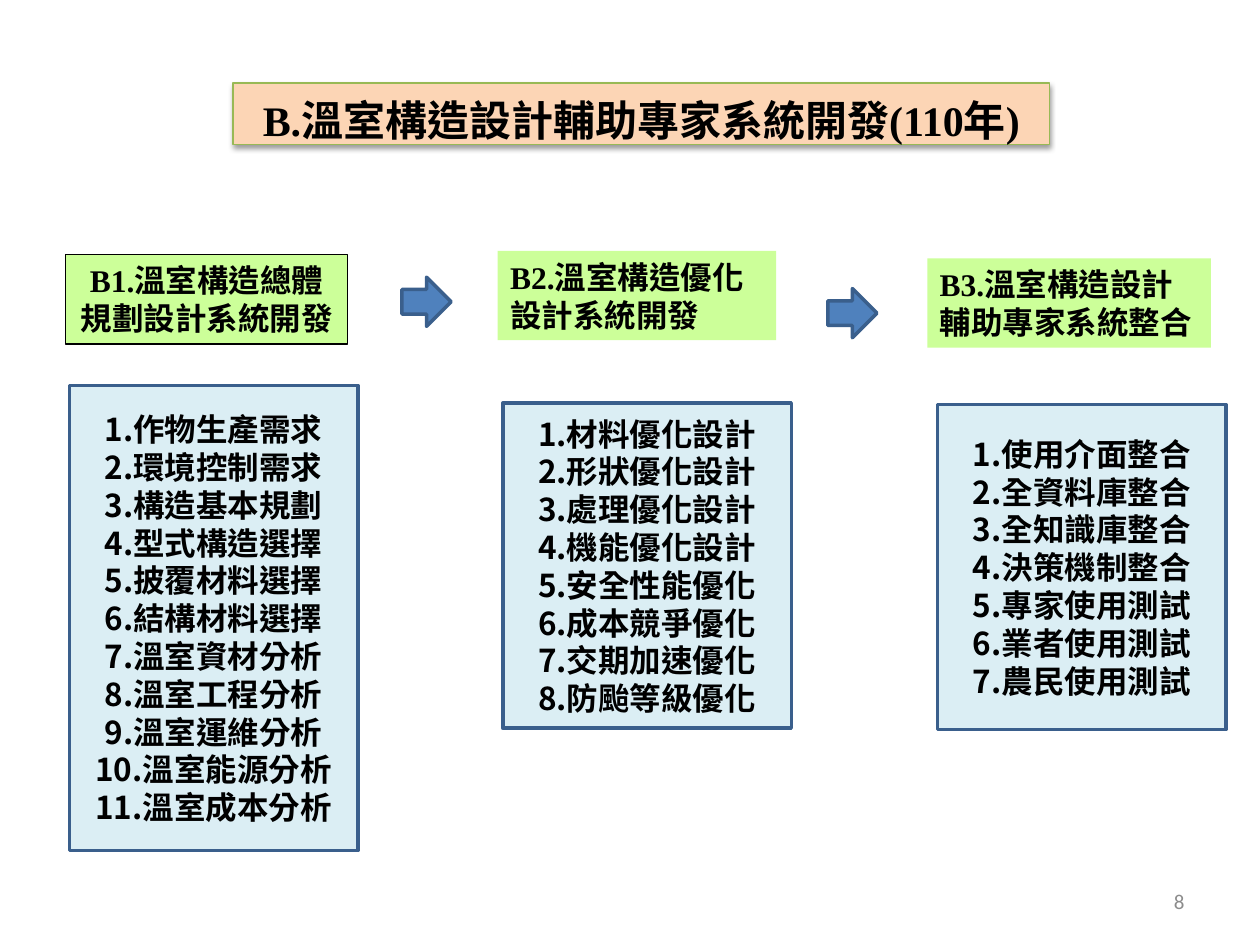
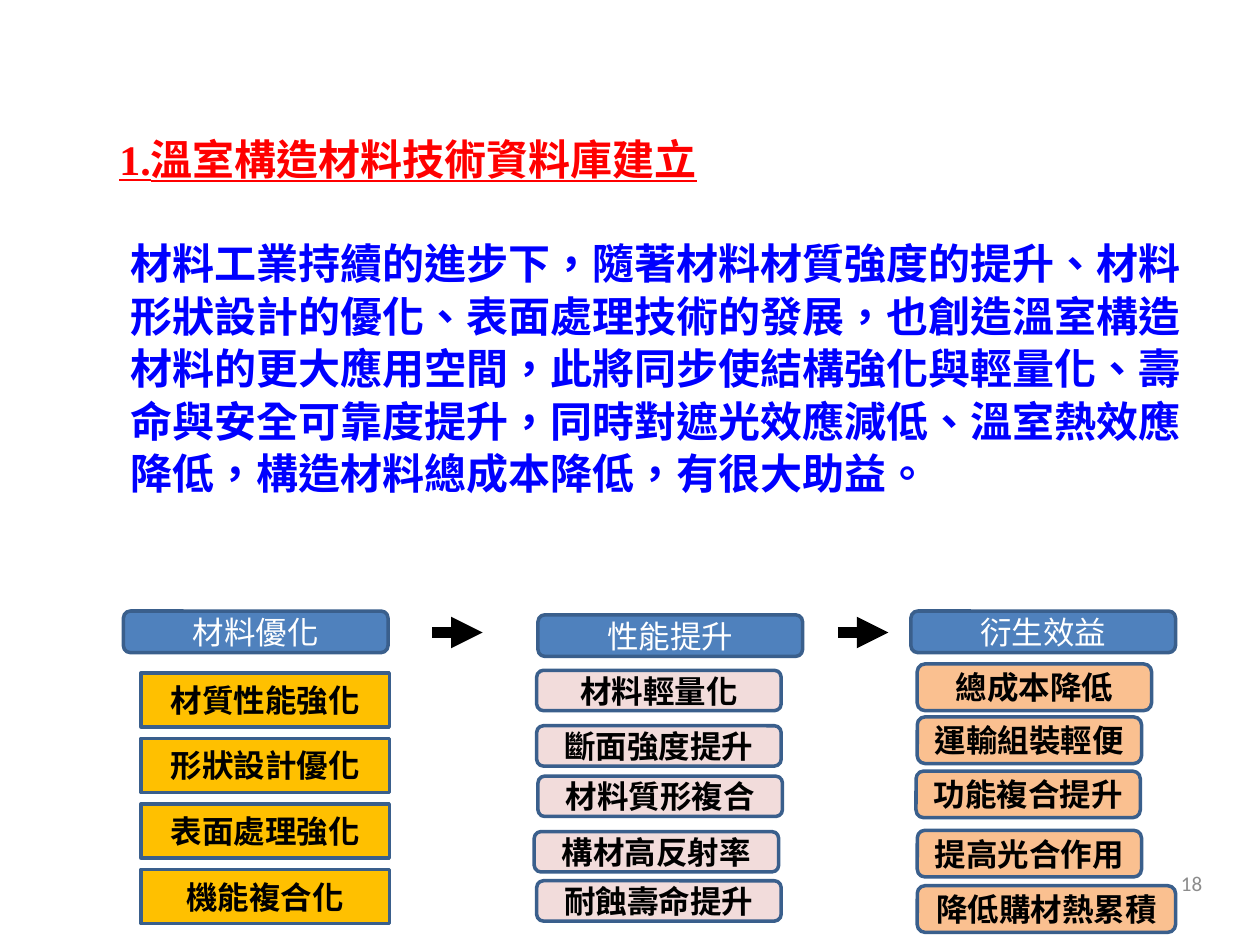
from lxml import etree
from pptx import Presentation, util as u
from pptx.dml.color import RGBColor
from pptx.enum import lang, shapes, text
from pptx.oxml import ns

rgb = RGBColor.from_string
Inches, Pt = u.Inches, u.Pt
LEFT, CENTER, RIGHT = text.PP_ALIGN.LEFT, text.PP_ALIGN.CENTER, text.PP_ALIGN.RIGHT
RECT = shapes.MSO_SHAPE.RECTANGLE
ROUND = shapes.MSO_SHAPE.ROUNDED_RECTANGLE
ARROW = shapes.MSO_SHAPE.RIGHT_ARROW
SANS, SERIF, PLAIN = "Noto Sans CJK SC", "Times New Roman", "Calibri"
BLACK, GREY, WHITE = "000000", "8C8C8C", "FFFFFF"
RED, BLUE_TEXT = "FF0000", "0000FF"
BLUE, NAVY, PALE_BLUE = "4F81BD", "3A5F8C", "DBEEF4"
GREEN, OLIVE, PEACH = "CCFF99", "98B955", "FCD5B5"
GOLD, PINK, ORANGE = "FFC000", "F2DCDB", "FAC090"


def style_paragraph(paragraph, font_name, size, color, bold, align, spacing):
    paragraph.alignment = align
    paragraph.line_spacing = Pt(spacing)
    for run in paragraph.runs:
        font = run.font
        font.name, font.size, font.bold = font_name, Pt(size), bold
        font.color.rgb = rgb(color)
        font.language_id = lang.MSO_LANGUAGE_ID.TRADITIONAL_CHINESE
        east_asian = etree.Element(ns.qn("a:ea"), typeface=SANS)
        font._element.find(ns.qn("a:latin")).addnext(east_asian)


def add_box(slide, geometry, place, lines, fill=None, line=NAVY, line_width=2, font_name=SANS,
            size=18, color=BLACK, bold=True, align=CENTER, spacing=21.6):
    place = [Inches(length) for length in place]
    if geometry is None:
        shape = slide.shapes.add_textbox(*place)
    else:
        shape = slide.shapes.add_shape(geometry, *place)
        shape.shadow.inherit = False
        shape.fill.solid()
        shape.fill.fore_color.rgb = rgb(fill)
        if line:
            shape.line.color.rgb = rgb(line)
            shape.line.width = Pt(line_width)
        else:
            shape.line.fill.background()
    frame = shape.text_frame
    frame.word_wrap = True
    frame.vertical_anchor = text.MSO_ANCHOR.MIDDLE
    frame.text = "\n".join(lines)
    for paragraph in frame.paragraphs:
        style_paragraph(paragraph, font_name, size, color, bold, align, spacing)
    return shape


presentation = Presentation()
presentation.slide_width, presentation.slide_height = Inches(10), Inches(7.5)
blank = presentation.slide_layouts[6]
plan_slide = presentation.slides.add_slide(blank)
material_slide = presentation.slides.add_slide(blank)

for slide, left, top, number in [(plan_slide, 7.17, 6.95, "8"), (material_slide, 7.31, 6.81, "18")]:
    add_box(slide, None, (left, top, 2.33, 0.4), [number], font_name=PLAIN, size=12,
            color=GREY, bold=False, align=RIGHT, spacing=14.4)

title = add_box(plan_slide, RECT, (1.85, 0.66, 6.48, 0.49), ["B.溫室構造設計輔助專家系統開發(110年)"],
                PEACH, OLIVE, 0.75, SERIF, 24, spacing=35)
title_frame = title.text_frame
title_frame.word_wrap = False
title_frame.margin_left = title_frame.margin_right = Inches(0.04)
title_frame.margin_top = title_frame.margin_bottom = Inches(0.02)
effects = title._element.spPr.find(ns.qn("a:effectLst"))
shadow = etree.SubElement(effects, ns.qn("a:outerShdw"), blurRad=str(Pt(3.1)), dist=str(Pt(1.6)),
                          dir="5400000", rotWithShape="0")
shadow_color = etree.SubElement(shadow, ns.qn("a:srgbClr"), val=BLACK)
etree.SubElement(shadow_color, ns.qn("a:alpha"), val="38000")

stages = [
    ("B1.溫室構造總體規劃設計系統開發", (0.52, 2.02, 2.24, 0.71), BLACK, CENTER, (0.55, 3.06, 2.29, 3.69),
     ["作物生產需求", "環境控制需求", "構造基本規劃", "型式構造選擇", "披覆材料選擇", "結構材料選擇",
      "溫室資材分析", "溫室工程分析", "溫室運維分析", "溫室能源分析", "溫室成本分析"]),
    ("B2.溫室構造優化 設計系統開發", (3.95, 1.99, 2.21, 0.71), None, LEFT, (3.99, 3.2, 2.29, 2.58),
     ["材料優化設計", "形狀優化設計", "處理優化設計", "機能優化設計", "安全性能優化", "成本競爭優化",
      "交期加速優化", "防颱等級優化"]),
    ("B3.溫室構造設計輔助專家系統整合", (7.36, 2.05, 2.25, 0.71), None, LEFT, (7.44, 3.21, 2.29, 2.58),
     ["使用介面整合", "全資料庫整合", "全知識庫整合", "決策機制整合", "專家使用測試", "業者使用測試",
      "農民使用測試"]),
]
for heading, heading_place, outline, align, list_place, tasks in stages:
    add_box(plan_slide, RECT, heading_place, [heading], GREEN, outline, 0.75, SERIF, align=align)
    numbered = [f"{number}.{task}" for number, task in enumerate(tasks, 1)]
    add_box(plan_slide, RECT, list_place, numbered, PALE_BLUE)
for left, top in [(3.19, 2.2), (6.57, 2.29)]:
    add_box(plan_slide, ARROW, (left, top, 0.39, 0.39), [], BLUE)

introduction = add_box(material_slide, None, (0.35, 0.99, 9.3, 3.47), [
    "1.溫室構造材料技術資料庫建立",
    "材料工業持續的進步下，隨著材料材質強度的提升、材料形狀設計的優化、表面處理技術的發展，"
    "也創造溫室構造材料的更大應用空間，此將同步使結構強化與輕量化、壽命與安全可靠度提升，"
    "同時對遮光效應減低、溫室熱效應降低，構造材料總成本降低，有很大助益。",
], font_name=SERIF, size=24, color=BLUE_TEXT, align=LEFT, spacing=30)
introduction.text_frame.vertical_anchor = text.MSO_ANCHOR.TOP
heading, body = introduction.text_frame.paragraphs
heading.runs[0].font.color.rgb = rgb(RED)
heading.runs[0].font.underline = True
body.space_before = Pt(30)
for paragraph, indent in [(heading, 0.5), (body, 0.59)]:
    paragraph._p.get_or_add_pPr().set("marL", str(Inches(indent)))

for heading, left, top in [("材料優化", 0.98, 4.85), ("性能提升", 4.27, 4.88), ("衍生效益", 7.23, 4.85)]:
    add_box(material_slide, ROUND, (left, top, 2.1, 0.33), [heading], BLUE,
            font_name=PLAIN, color=WHITE, bold=False)

for row, label in enumerate(["材質性能強化", "形狀設計優化", "表面處理強化", "機能複合化"]):
    add_box(material_slide, RECT, (1.12, 5.34 + row * 0.52, 1.97, 0.43), [label], GOLD)

gains = [("材料輕量化", 4.26, 5.32), ("斷面強度提升", 4.26, 5.76), ("材料質形複合", 4.27, 6.16),
         ("構材高反射率", 4.24, 6.6), ("耐蝕壽命提升", 4.26, 6.99)]
for label, left, top in gains:
    add_box(material_slide, ROUND, (left, top, 1.94, 0.32), [label], PINK)

benefits = [("總成本降低", 7.28, 5.27, 1.86), ("運輸組裝輕便", 7.28, 5.69, 1.78), ("功能複合提升", 7.27, 6.12, 1.78),
            ("提高光合作用", 7.28, 6.59, 1.78), ("降低購材熱累積", 7.28, 7.03, 2.05)]
for label, left, top, width in benefits:
    add_box(material_slide, ROUND, (left, top, width, 0.37), [label], ORANGE)

for left in (3.43, 6.65):
    connector = material_slide.shapes.add_connector(
        shapes.MSO_CONNECTOR.STRAIGHT, Inches(left), Inches(5.02), Inches(left + 0.4), Inches(5.02))
    connector.line.color.rgb = rgb(BLACK)
    connector.line.width = Pt(6)
    etree.SubElement(connector.line._get_or_add_ln(), ns.qn("a:tailEnd"), type="triangle")
    etree.SubElement(connector._element.spPr, ns.qn("a:effectLst"))

presentation.save("out.pptx")
